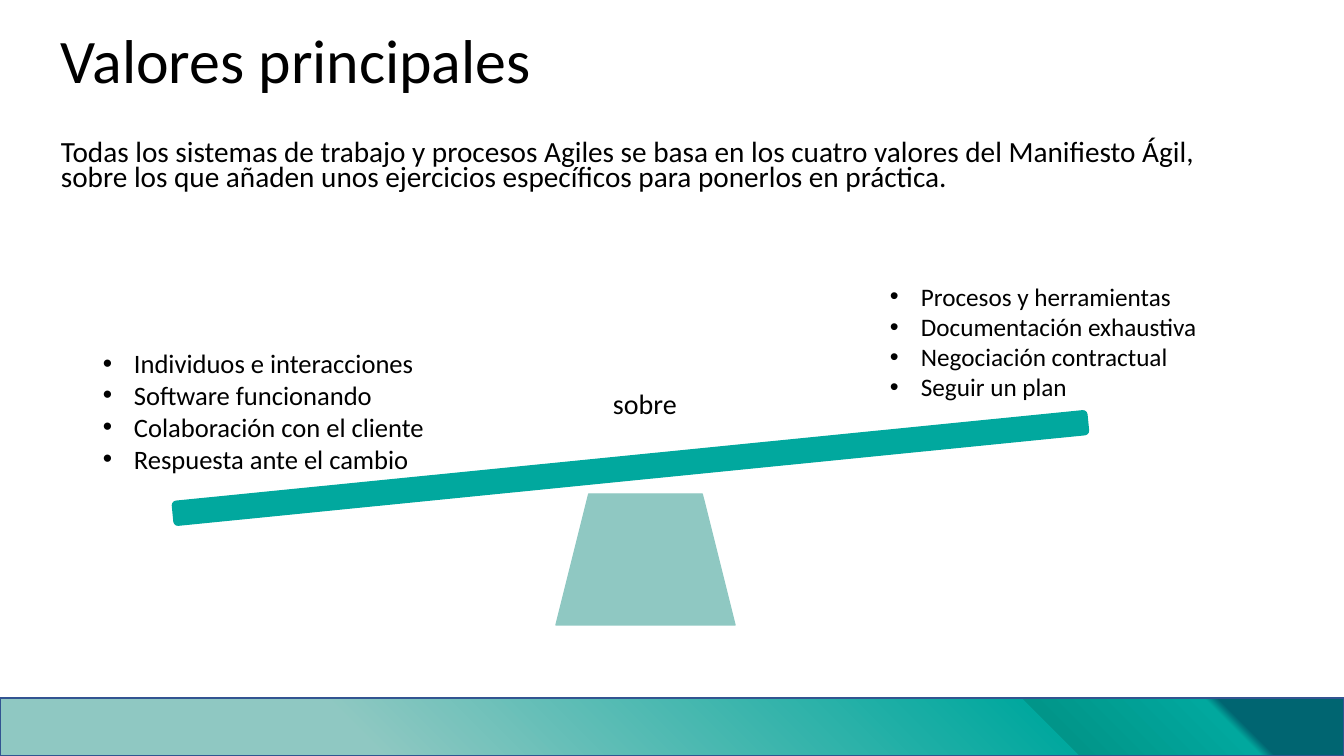
import pptx
import pptx.dml.color
import pptx.enum.shapes
import pptx.enum.text
import pptx.oxml
import pptx.oxml.ns
import pptx.util

RGBColor = pptx.dml.color.RGBColor
SHAPES = pptx.enum.shapes.MSO_SHAPE
ANCHORS = pptx.enum.text.MSO_ANCHOR
AUTO_SIZE = pptx.enum.text.MSO_AUTO_SIZE

BLACK = RGBColor(0x00, 0x00, 0x00)
TEAL = RGBColor(0x01, 0xA8, 0x9E)
PALE_TEAL = RGBColor(0x8F, 0xC8, 0xC2)
GREEN_TEAL = RGBColor(0x01, 0x95, 0x89)
DARK_TEAL = RGBColor(0x00, 0x65, 0x71)
BLUE = RGBColor(0x32, 0x54, 0x91)

FONT = "Calibri"
EMU_PER_PIXEL = 914400 / 100.8
LIST_INDENT = 31

BAND_STOPS = [(27, PALE_TEAL), (77, TEAL), (77, GREEN_TEAL), (90, TEAL), (91, DARK_TEAL)]
VALUED_MORE = ["Individuos e interacciones", "Software funcionando",
               "Colaboración con el cliente", "Respuesta ante el cambio"]
VALUED_LESS = ["Procesos y herramientas", "Documentación exhaustiva",
               "Negociación contractual", "Seguir un plan"]
INTRO = ("Todas los sistemas de trabajo y procesos Agiles se basa en los cuatro valores "
         "del Manifiesto Ágil, sobre los que añaden unos ejercicios específicos para "
         "ponerlos en práctica.")


def px(length):
    return pptx.util.Emu(round(length * EMU_PER_PIXEL))


def add_figure(slide, kind, box, color, line=None, rotation=0):
    figure = slide.shapes.add_shape(kind, *map(px, box))
    figure.shadow.inherit = False
    figure.fill.solid()
    figure.fill.fore_color.rgb = color
    figure.line.color.rgb = line or color
    figure.line.width = pptx.util.Pt(1)
    figure.rotation = rotation
    return figure


def set_radial_gradient(figure, stops):
    """Spread the stops in circles from the lower left corner."""
    stop_xml = "".join(f'<a:gs pos="{position * 1000}"><a:srgbClr val="{color}"/></a:gs>'
                       for position, color in stops)
    gradient = pptx.oxml.parse_xml(
        f'<a:gradFill {pptx.oxml.ns.nsdecls("a")} rotWithShape="1">'
        f'<a:gsLst>{stop_xml}</a:gsLst><a:path path="circle">'
        '<a:fillToRect t="100000" r="100000"/></a:path></a:gradFill>')
    properties = figure._element.spPr
    properties.replace(properties.find(pptx.oxml.ns.qn("a:solidFill")), gradient)


def add_frame(slide, box, wrap=True, anchor=ANCHORS.TOP, auto_size=AUTO_SIZE.NONE):
    frame = slide.shapes.add_textbox(*map(px, box)).text_frame
    frame.word_wrap = wrap
    frame.vertical_anchor = anchor
    frame.auto_size = auto_size
    return frame


def write(frame, text, size, spacing=None, before=0, bullet=False):
    """Fill the first paragraph while it is empty, then append."""
    paragraph = frame.paragraphs[0] if not frame.text else frame.add_paragraph()
    paragraph.line_spacing = spacing
    paragraph.space_before = pptx.util.Pt(before)
    run = paragraph.add_run()
    run.text = text
    run.font.name = FONT
    run.font.size = pptx.util.Pt(size)
    run.font.color.rgb = BLACK
    if bullet:
        properties = paragraph._p.get_or_add_pPr()
        properties.set("marL", str(px(LIST_INDENT)))
        properties.set("indent", str(-px(LIST_INDENT)))
        for tag in ('a:buFont {} typeface="Arial"', 'a:buChar {} char="•"'):
            properties.append(pptx.oxml.parse_xml(
                f'<{tag.format(pptx.oxml.ns.nsdecls("a"))}/>'))


def add_list(slide, box, items, size, wrap=True):
    frame = add_frame(slide, box, wrap, auto_size=AUTO_SIZE.SHAPE_TO_FIT_TEXT)
    for item in items:
        write(frame, item, size, bullet=True)


def main():
    deck = pptx.Presentation()
    deck.slide_width, deck.slide_height = px(1344), px(756)
    slide = deck.slides.add_slide(deck.slide_layouts[6])

    # Footer band
    band = add_figure(slide, SHAPES.RECTANGLE, (0, 698, 1344, 58), TEAL, line=BLUE)
    set_radial_gradient(band, BAND_STOPS)

    # Title and introduction
    heading = add_frame(slide, (51, 35, 1159, 164), anchor=ANCHORS.MIDDLE)
    write(heading, "Valores principales", 44.2, spacing=0.7)
    write(heading, INTRO, 20.9, spacing=0.7, before=35)

    # Seesaw
    add_figure(slide, SHAPES.TRAPEZOID, (556, 494, 179, 131), PALE_TEAL)
    add_figure(slide, SHAPES.ROUNDED_RECTANGLE, (171, 456, 919, 24), TEAL, rotation=354.3)

    # Values on each side
    add_list(slide, (93, 342, 426, 139), VALUED_MORE, 19)
    add_list(slide, (880, 276, 331, 132), VALUED_LESS, 18, wrap=False)
    pivot = add_frame(slide, (603, 382, 85, 44), wrap=False,
                      auto_size=AUTO_SIZE.SHAPE_TO_FIT_TEXT)
    write(pivot, "sobre", 20)

    deck.save("out.pptx")


main()
